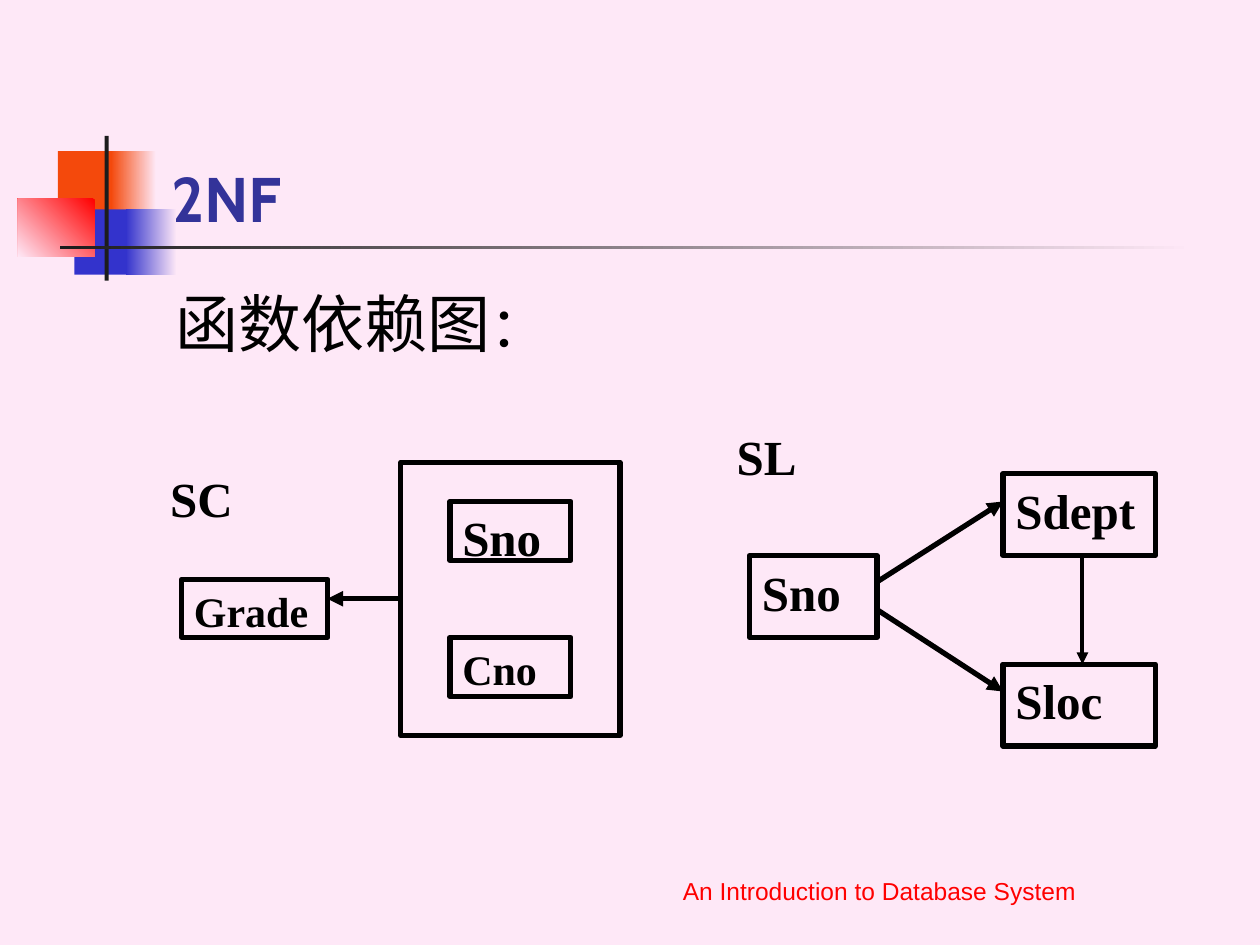
from pptx import Presentation
from pptx.dml.color import RGBColor
from pptx.enum.shapes import MSO_CONNECTOR as Connector, MSO_SHAPE as Shape
from pptx.enum.text import MSO_ANCHOR as Anchor, MSO_AUTO_SIZE as AutoSize, PP_ALIGN as Align
from pptx.oxml.ns import qn
from pptx.util import Cm, Pt
from lxml.etree import SubElement

PINK = RGBColor(0xFE, 0xE8, 0xF7)
ORANGE = RGBColor(0xF4, 0x49, 0x0C)
BLUE = RGBColor(0x33, 0x33, 0xCC)
NAVY = RGBColor(0x33, 0x33, 0x99)
RED = RGBColor(0xFF, 0x00, 0x00)
CHARCOAL = RGBColor(0x1C, 0x1C, 0x1C)
BLACK = RGBColor(0x00, 0x00, 0x00)


class SlideBuilder:
    heading_font = "Cabin"
    label_font = "Times New Roman"
    footer_font = "Arial"

    def __init__(self, deck):
        self.page = deck.slides.add_slide(deck.slide_layouts[5])
        background = self.page.background.fill
        background.solid()
        background.fore_color.rgb = PINK

    def set_text(self, box, spans, font, color, bold=False, align=Align.LEFT, anchor=Anchor.TOP):
        """Fill a shape with one paragraph of (text, size) spans."""
        frame = box.text_frame
        frame.word_wrap = True
        frame.auto_size = AutoSize.NONE
        frame.vertical_anchor = anchor
        frame.margin_left = frame.margin_right = Cm(0.25)
        frame.margin_top = frame.margin_bottom = Cm(0.13)
        para = frame.paragraphs[0]
        para.alignment = align
        for text, size in spans:
            span = para.add_run()
            span.text = text
            span.font.size = Pt(size)
            span.font.name = font
            span.font.bold = bold
            span.font.color.rgb = color

    def title(self, text, left, top, width, height):
        box = self.page.shapes.title
        box.left, box.top, box.width, box.height = map(Cm, (left, top, width, height))
        self.set_text(box, [(text, 36)], self.heading_font, NAVY, True, anchor=Anchor.BOTTOM)

    def text(self, spans, left, top, width, height, font, color, **style):
        box = self.page.shapes.add_textbox(Cm(left), Cm(top), Cm(width), Cm(height))
        self.set_text(box, spans, font, color, **style)

    def label(self, text, left, top, width, height):
        self.text([(text, 28)], left, top, width, height, self.label_font, BLACK,
                  bold=True, align=Align.JUSTIFY)

    def rectangle(self, left, top, width, height):
        box = self.page.shapes.add_shape(Shape.RECTANGLE, Cm(left), Cm(top), Cm(width), Cm(height))
        box.shadow.inherit = False
        return box

    def block(self, color, *place):
        box = self.rectangle(*place)
        box.fill.solid()
        box.fill.fore_color.rgb = color
        box.line.fill.background()

    def fade(self, start, end, angle, *place):
        box = self.rectangle(*place)
        box.fill.gradient()
        box.fill.gradient_angle = angle
        for stop, color in zip(box.fill.gradient_stops, (start, end)):
            stop.color.rgb = color
        box.line.fill.background()

    def node(self, text, size, *place):
        box = self.rectangle(*place)
        box.fill.background()
        box.line.color.rgb = BLACK
        box.line.width = Pt(3)
        if text:
            self.set_text(box, [(text, size)], self.label_font, BLACK, True, Align.JUSTIFY)

    def arrow(self, start, end, weight=3):
        arrow = self.page.shapes.add_connector(
            Connector.STRAIGHT, *map(Cm, start), *map(Cm, end))
        arrow.line.color.rgb = BLACK
        arrow.line.width = Pt(weight)
        properties = arrow._element.spPr
        SubElement(properties.find(qn("a:ln")), qn("a:tailEnd"), type="triangle")
        SubElement(properties, qn("a:effectLst"))


def add_ornament(slide):
    for color, left, top, solid, faded, offset in (
        (ORANGE, 1.17, 3.05, 1.22, 0.91, 1.07),
        (BLUE, 1.5, 4.22, 1.17, 1.02, 1.04),
    ):
        slide.block(color, left, top, solid, 1.32)
        slide.fade(PINK, color, 180, left + offset, top, faded, 1.32)
    slide.fade(RED, PINK, 225, 0.36, 4.01, 1.55, 1.17)
    slide.block(CHARCOAL, 2.11, 2.74, 0.08, 2.92)
    slide.fade(PINK, CHARCOAL, 180, 1.22, 4.95, 22.86, 0.08)


def add_sc_diagram(slide):
    slide.node("", 0, 8.08, 9.32, 4.42, 5.51)
    for text, size, top in (("Sno", 28, 10.11), ("Cno", 24, 12.85)):
        slide.node(text, size, 9.07, top, 2.44, 1.19)
    slide.node("Grade", 24, 3.66, 11.68, 2.95, 1.17)
    slide.arrow((8.08, 12.07), (6.6, 12.07))
    slide.label("SC", 3.18, 9.32, 2.46, 1.17)


def add_sl_diagram(slide):
    slide.label("SL", 14.6, 8.46, 3.07, 1.65)
    slide.node("Sno", 28, 15.11, 11.2, 2.57, 1.65)
    for text, top in (("Sdept", 9.55), ("Sloc", 13.39)):
        slide.node(text, 28, 20.22, top, 3.07, 1.65)
    slide.arrow((17.68, 11.73), (20.22, 10.11))
    slide.arrow((17.68, 12.29), (20.22, 13.94))
    slide.arrow((21.82, 11.2), (21.82, 13.39), 2.25)


def main():
    deck = Presentation()
    deck.slide_width, deck.slide_height = Cm(25.4), Cm(19.05)
    slide = SlideBuilder(deck)
    add_ornament(slide)
    slide.title("2NF", 3.2, 1.7, 21.64, 3.18)
    slide.text([("函数依赖图", 36), ("：", 32)], 3.28, 5.61, 21.59, 11.43,
               slide.heading_font, BLACK)
    add_sc_diagram(slide)
    add_sl_diagram(slide)
    slide.text([("An Introduction to Database System", 14)], 11.1, 17.12, 13.26, 1.27,
               slide.footer_font, RED, align=Align.CENTER, anchor=Anchor.BOTTOM)
    deck.save("out.pptx")


if __name__ == "__main__":
    main()
